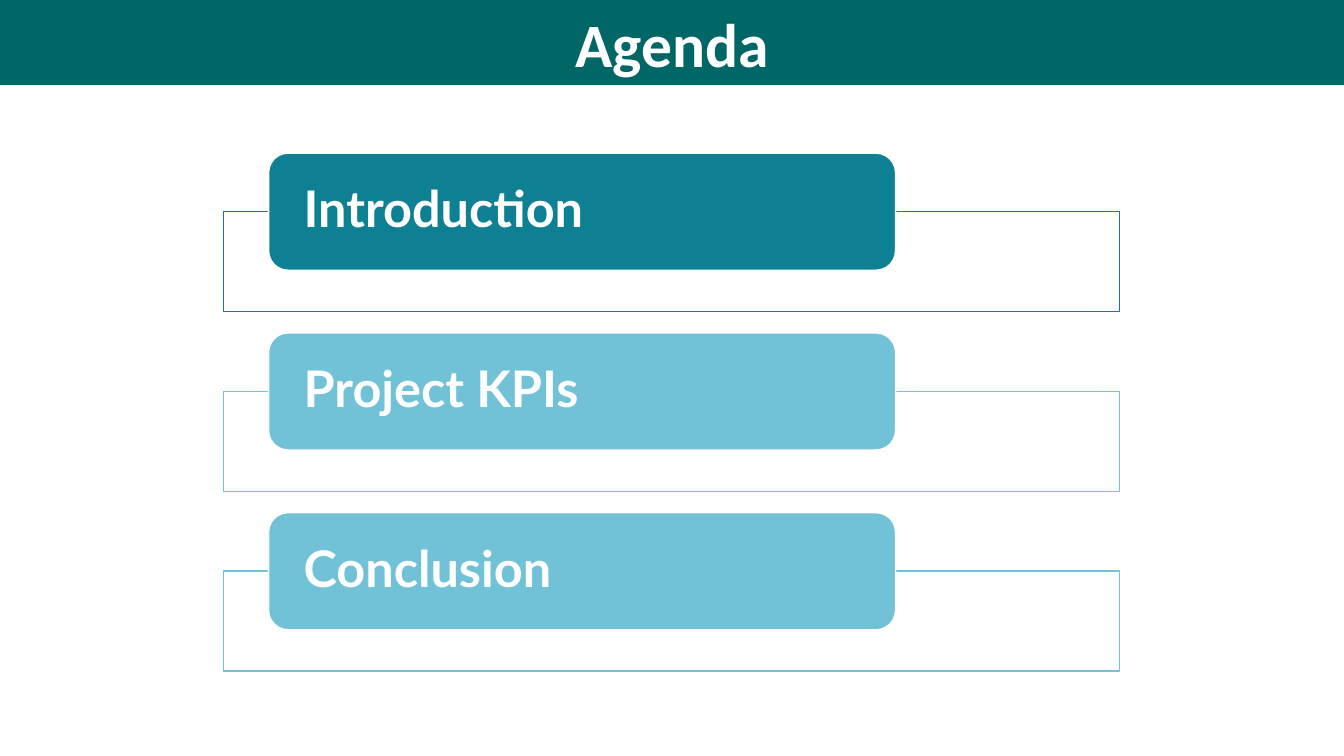
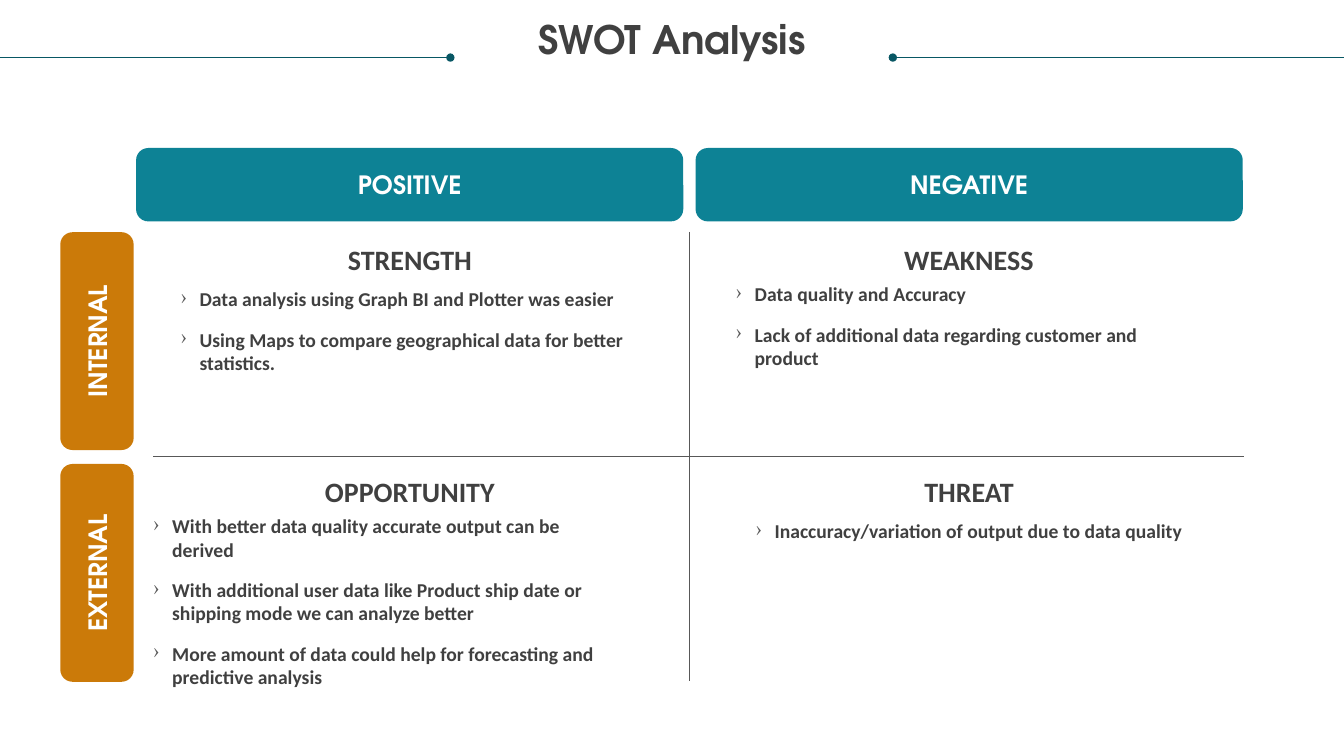
import lxml.etree
import pptx
import pptx.dml.color
import pptx.enum.shapes
import pptx.enum.text
import pptx.oxml.ns
import pptx.util

Cm = pptx.util.Cm
Pt = pptx.util.Pt
qn = pptx.oxml.ns.qn
Kind = pptx.enum.shapes.MSO_SHAPE
Side = pptx.enum.text.PP_ALIGN
Hold = pptx.enum.text.MSO_ANCHOR

WIDE, TALL = 33.87, 19.05
WHITE, TEAL, PALE, GREEN = "FFFFFF", "0D8193", "71C2D6", "006666"
HEAD, AMBER, TEXT, GREY, DARK = "0D8295", "CB7A09", "404040", "585858", "085764"
BODY, CARD, DECO = "Calibri", "Lato", "TeX Gyre Adventor"


def hue(code):
    return pptx.dml.color.RGBColor.from_string(code)


def put(shape, text, face, size, tone, side=Side.CENTER, hold=Hold.MIDDLE, inset=0):
    frame = shape.text_frame
    frame.text = text
    frame.word_wrap = True
    frame.auto_size = pptx.enum.text.MSO_AUTO_SIZE.NONE
    frame.vertical_anchor = hold
    frame.margin_left = frame.margin_right = Cm(inset)
    frame.margin_top = frame.margin_bottom = 0
    for para in frame.paragraphs:
        para.alignment = side
        for run in para.runs:
            run.font.name = face
            run.font.size = Pt(size)
            run.font.bold = True
            run.font.color.rgb = hue(tone)


deck = pptx.Presentation()
deck.slide_width, deck.slide_height = Cm(WIDE), Cm(TALL)

titles = [
    ("Agenda", BODY, 44, WHITE, Hold.MIDDLE, (0, 0, WIDE, 2.14)),
    ("SWOT Analysis", DECO, 28, TEXT, Hold.TOP, (0.64, 0.53, 32.59, 1.85)),
]
pages = []
for text, face, size, tone, hold, spot in titles:
    page = deck.slides.add_slide(deck.slide_layouts[5])
    title = page.shapes.title
    title.left, title.top, title.width, title.height = map(Cm, spot)
    put(title, text, face, size, tone, hold=hold)
    pages.append(page)
agenda, swot = pages

band = agenda.shapes.title
band.fill.solid()
band.fill.fore_color.rgb = hue(GREEN)
swot.shapes.title.text_frame.paragraphs[0].line_spacing = 0.9

items = [("Introduction", TEAL), ("Project KPIs", PALE), ("Conclusion", PALE)]
for row, (text, tone) in enumerate(items):
    top = 3.86 + row * 4.53
    frame = agenda.shapes.add_shape(Kind.RECTANGLE, Cm(5.64), Cm(top + 1.47), Cm(22.58), Cm(2.52))
    card = agenda.shapes.add_shape(Kind.ROUNDED_RECTANGLE, Cm(6.77), Cm(top), Cm(15.8), Cm(2.95))
    for shape, fill, edge in [(frame, WHITE, tone), (card, tone, WHITE)]:
        shape.shadow.inherit = False
        shape.fill.solid()
        shape.fill.fore_color.rgb = hue(fill)
        shape.line.color.rgb = hue(edge)
        shape.line.width = Pt(1)
    put(card, text, CARD, 36, WHITE, Side.LEFT, inset=0.74)
    card.text_frame.paragraphs[0].line_spacing = 0.9

lines = [
    (0, 1.45, 11.35, 1.45, DARK, "a:tailEnd"),
    (22.5, 1.45, WIDE, 1.45, DARK, "a:headEnd"),
    (3.86, 11.51, 31.34, 11.51, GREY, None),
    (17.37, 5.84, 17.37, 17.17, GREY, None),
]
for x, y, far, low, tone, dot in lines:
    line = swot.shapes.add_connector(
        pptx.enum.shapes.MSO_CONNECTOR.STRAIGHT, Cm(x), Cm(y), Cm(far), Cm(low))
    line.line.color.rgb = hue(tone)
    line.line.width = Pt(0.5)
    props = line._element.spPr
    if dot:
        lxml.etree.SubElement(props.find(qn("a:ln")), qn(dot), type="oval")
    lxml.etree.SubElement(props, qn("a:effectLst"))

tabs = [
    ("POSITIVE", 3.43, 3.73, 13.79, HEAD, 0),
    ("NEGATIVE", 17.53, 3.73, 13.79, HEAD, 0),
    ("INTERNAL", -0.3, 7.67, 5.49, AMBER, 270),
    ("EXTERNAL", -0.3, 13.51, 5.49, AMBER, 270),
]
for text, left, top, width, tone, turn in tabs:
    tab = swot.shapes.add_shape(Kind.ROUNDED_RECTANGLE, Cm(left), Cm(top), Cm(width), Cm(1.85))
    tab.rotation = turn
    tab.shadow.inherit = False
    tab.fill.solid()
    tab.fill.fore_color.rgb = hue(tone)
    tab.line.fill.background()
    put(tab, text, DECO, 18, WHITE)

parts = [
    ("STRENGTH", 4.55, 7.24, 2.24, Side.LEFT, [
        "Data analysis using Graph BI and Plotter was easier",
        "Using Maps to compare geographical data for better statistics."]),
    ("WEAKNESS", 18.54, 7.11, 2.24, Side.LEFT, [
        "Data quality and Accuracy",
        "Lack of additional data regarding customer and product"]),
    ("OPPORTUNITY", 3.86, 12.95, 4.45, Side.LEFT, [
        "With better data quality accurate output can be derived",
        "With additional user data like Product ship date or shipping mode we can analyze better",
        "More amount of data could help for forecasting and predictive analysis"]),
    ("THREAT", 18.64, 13.08, 0.61, Side.CENTER, [
        "Inaccuracy/variation of output due to data quality"]),
]
for spot, (name, left, top, height, side, points) in enumerate(parts):
    row, col = divmod(spot, 2)
    head = swot.shapes.add_textbox(
        Cm(4.55 + col * 14.09), Cm(6.1 + row * 5.86), Cm(11.56), Cm(0.86))
    put(head, name, BODY, 20, TEXT, hold=Hold.TOP)
    body = swot.shapes.add_textbox(Cm(left), Cm(top), Cm(11.56), Cm(height))
    put(body, "\n".join(points), BODY, 14, TEXT, side, Hold.TOP)
    for para in body.text_frame.paragraphs:
        para.space_before = Pt(12)
        props = para._p.get_or_add_pPr()
        props.set("marL", str(Cm(0.48)))
        props.set("indent", str(-Cm(0.48)))
        tint = lxml.etree.SubElement(props, qn("a:buClr"))
        lxml.etree.SubElement(tint, qn("a:srgbClr"), val=GREY)
        lxml.etree.SubElement(props, qn("a:buChar"), char="›")

deck.save("out.pptx")
